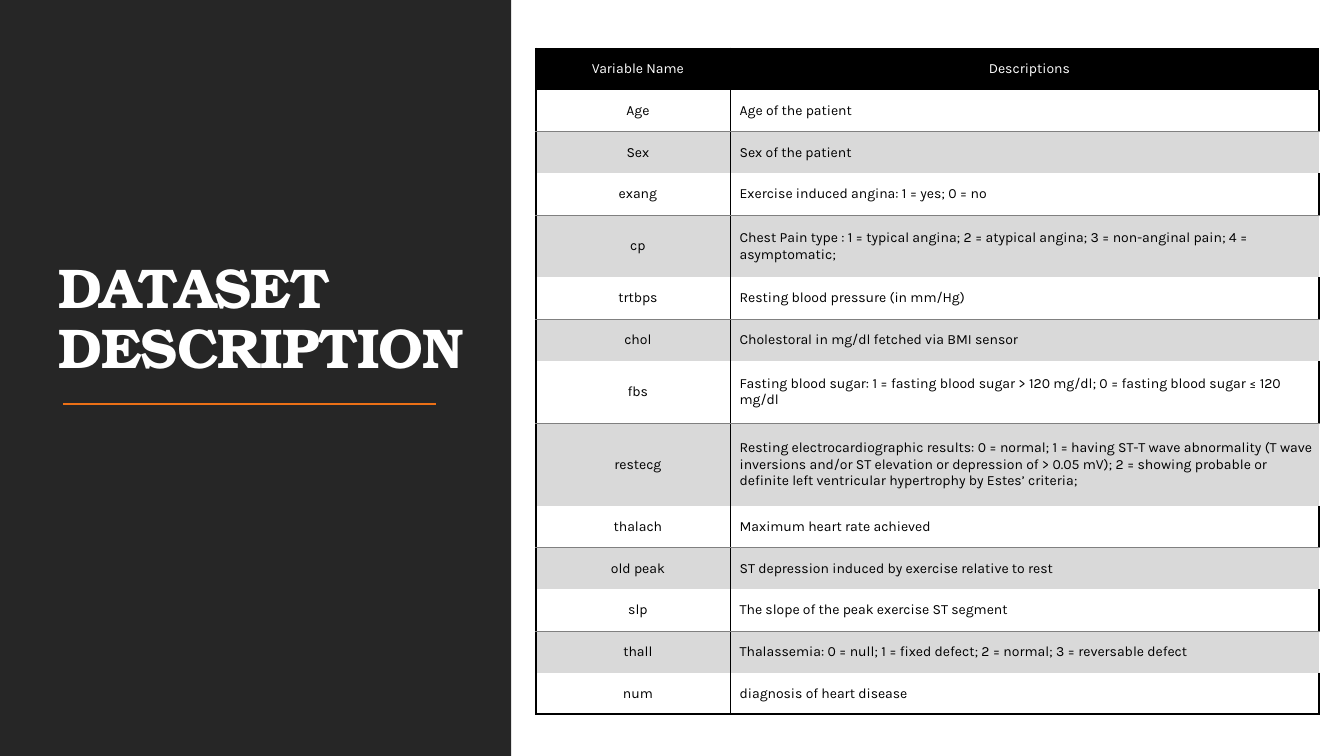
from lxml.etree import SubElement
from pptx import Presentation
from pptx.dml.color import RGBColor
from pptx.enum.shapes import MSO_CONNECTOR, MSO_SHAPE
from pptx.enum.text import MSO_ANCHOR, MSO_AUTO_SIZE, PP_ALIGN
from pptx.oxml.ns import qn
from pptx.util import Cm, Pt

WHITE = RGBColor(0xFF, 0xFF, 0xFF)
BLACK = RGBColor(0x00, 0x00, 0x00)
CHARCOAL = RGBColor(0x26, 0x26, 0x26)
ORANGE = RGBColor(0xEC, 0x70, 0x16)
LIGHT_GREY = RGBColor(0xD9, 0xD9, 0xD9)
MID_GREY = RGBColor(0x80, 0x80, 0x80)

TITLE_FONT = "TeX Gyre Bonum"
TABLE_FONT = "Karla"
THICK = (BLACK, Pt(1.5))
THIN = (MID_GREY, Pt(0.5))

VARIABLES = [
    ("Variable Name", "Descriptions", 1),
    ("Age", "Age of the patient", 1),
    ("Sex", "Sex of the patient", 1),
    ("exang", "Exercise induced angina: 1 = yes; 0 = no", 1),
    ("cp", "Chest Pain type : 1 = typical angina; 2 = atypical angina; "
           "3 = non-anginal pain; 4 = asymptomatic;", 2),
    ("trtbps", "Resting blood pressure (in mm/Hg)", 1),
    ("chol", "Cholestoral in mg/dl fetched via BMI sensor", 1),
    ("fbs", "Fasting blood sugar: 1 = fasting blood sugar > 120 mg/dl; "
            "0 = fasting blood sugar ≤ 120 mg/dl", 2),
    ("restecg", "Resting electrocardiographic results: 0 = normal; "
                "1 = having ST-T wave abnormality (T wave inversions and/or "
                "ST elevation or depression of > 0.05 mV); 2 = showing probable "
                "or definite left ventricular hypertrophy by Estes’ criteria;", 3),
    ("thalach", "Maximum heart rate achieved", 1),
    ("old peak", "ST depression induced by exercise relative to rest", 1),
    ("slp", "The slope of the peak exercise ST segment", 1),
    ("thall", "Thalassemia: 0 = null; 1 = fixed defect; 2 = normal; "
              "3 = reversable defect", 1),
    ("num", "diagnosis of heart disease", 1),
]


def add_panel(slide):
    """Add the dark panel on the left, behind the title."""
    panel = slide.shapes.add_shape(
        MSO_SHAPE.RECTANGLE, Cm(0), Cm(0), Cm(12.88), Cm(19.05))
    panel.shadow.inherit = False
    panel.fill.solid()
    panel.fill.fore_color.rgb = CHARCOAL
    panel.line.fill.background()
    slide.shapes.title.element.addprevious(panel.element)


def format_title(title, text):
    """Place the title placeholder and set its text."""
    title.left, title.top = Cm(1.22), Cm(1.78)
    title.width, title.height = Cm(10.8), Cm(7.95)
    frame = title.text_frame
    frame.text = text
    frame.word_wrap = True
    frame.auto_size = MSO_AUTO_SIZE.NONE
    frame.vertical_anchor = MSO_ANCHOR.BOTTOM
    paragraph = frame.paragraphs[0]
    paragraph.alignment = PP_ALIGN.LEFT
    paragraph.line_spacing = 0.9
    font = paragraph.font
    font.name, font.size, font.bold = TITLE_FONT, Pt(40), True
    font.color.rgb = WHITE
    paragraph.runs[0].font.element.set("spc", "-50") if hasattr(
        paragraph.runs[0].font, "element") else paragraph.runs[0]._r.get_or_add_rPr().set("spc", "-50")


def add_rule(slide):
    """Add the orange line under the title."""
    rule = slide.shapes.add_connector(
        MSO_CONNECTOR.STRAIGHT, Cm(1.6), Cm(10.19), Cm(11), Cm(10.19))
    rule.line.color.rgb = ORANGE
    rule.line.width = Pt(1.5)
    SubElement(rule.element.spPr, qn("a:effectLst"))


def set_borders(cell, borders):
    """Draw the left, right, top and bottom borders of a cell."""
    properties = cell._tc.get_or_add_tcPr()
    for side, border in zip("LRTB", borders):
        line = SubElement(properties, qn(f"a:ln{side}"))
        if border is None:
            SubElement(line, qn("a:noFill"))
            continue
        color, width = border
        line.set("w", str(width))
        fill = SubElement(line, qn("a:solidFill"))
        SubElement(fill, qn("a:srgbClr")).set("val", str(color))


def format_cell(cell, text, alignment, color, background):
    """Set the text, margins and fill of a cell."""
    cell.text = text
    cell.vertical_anchor = MSO_ANCHOR.MIDDLE
    cell.margin_left, cell.margin_right = Cm(0.23), Cm(0)
    cell.margin_top = cell.margin_bottom = Cm(0.18)
    if background is None:
        cell.fill.background()
    else:
        cell.fill.solid()
        cell.fill.fore_color.rgb = background
    paragraph = cell.text_frame.paragraphs[0]
    paragraph.alignment = alignment
    font = paragraph.font
    font.name, font.size = TABLE_FONT, Pt(10)
    font.color.rgb = color


def add_variable_table(slide):
    """Add the table of variables, with every second row shaded."""
    heights = [Cm(0.53 + 0.52 * lines) for *_, lines in VARIABLES]
    table = slide.shapes.add_table(
        len(VARIABLES), 2, Cm(13.51), Cm(1.22), Cm(19.73), sum(heights)).table
    table.first_row = table.horz_banding = False
    table.columns[0].width, table.columns[1].width = Cm(4.9), Cm(14.83)
    last = len(VARIABLES) - 1
    for index, (name, description, _) in enumerate(VARIABLES):
        table.rows[index].height = heights[index]
        header = index == 0
        shaded = not header and index % 2 == 0
        top = THICK if header else THIN if shaded else None
        bottom = THICK if index == last else THIN if index % 2 else None
        background = BLACK if header else LIGHT_GREY if shaded else None
        for column, text in enumerate((name, description)):
            cell = table.cell(index, column)
            right = THICK if column == 0 or index % 2 else None
            centred = header or column == 0
            set_borders(cell, (THICK, right, top, bottom))
            format_cell(cell, text,
                        PP_ALIGN.CENTER if centred else PP_ALIGN.LEFT,
                        WHITE if header else BLACK, background)


def main():
    """Build the dataset description slide."""
    presentation = Presentation()
    presentation.slide_width, presentation.slide_height = Cm(33.87), Cm(19.05)
    slide = presentation.slides.add_slide(presentation.slide_layouts[5])
    format_title(slide.shapes.title, "DATASET DESCRIPTION")
    add_panel(slide)
    add_rule(slide)
    add_variable_table(slide)
    presentation.save("out.pptx")


if __name__ == "__main__":
    main()
